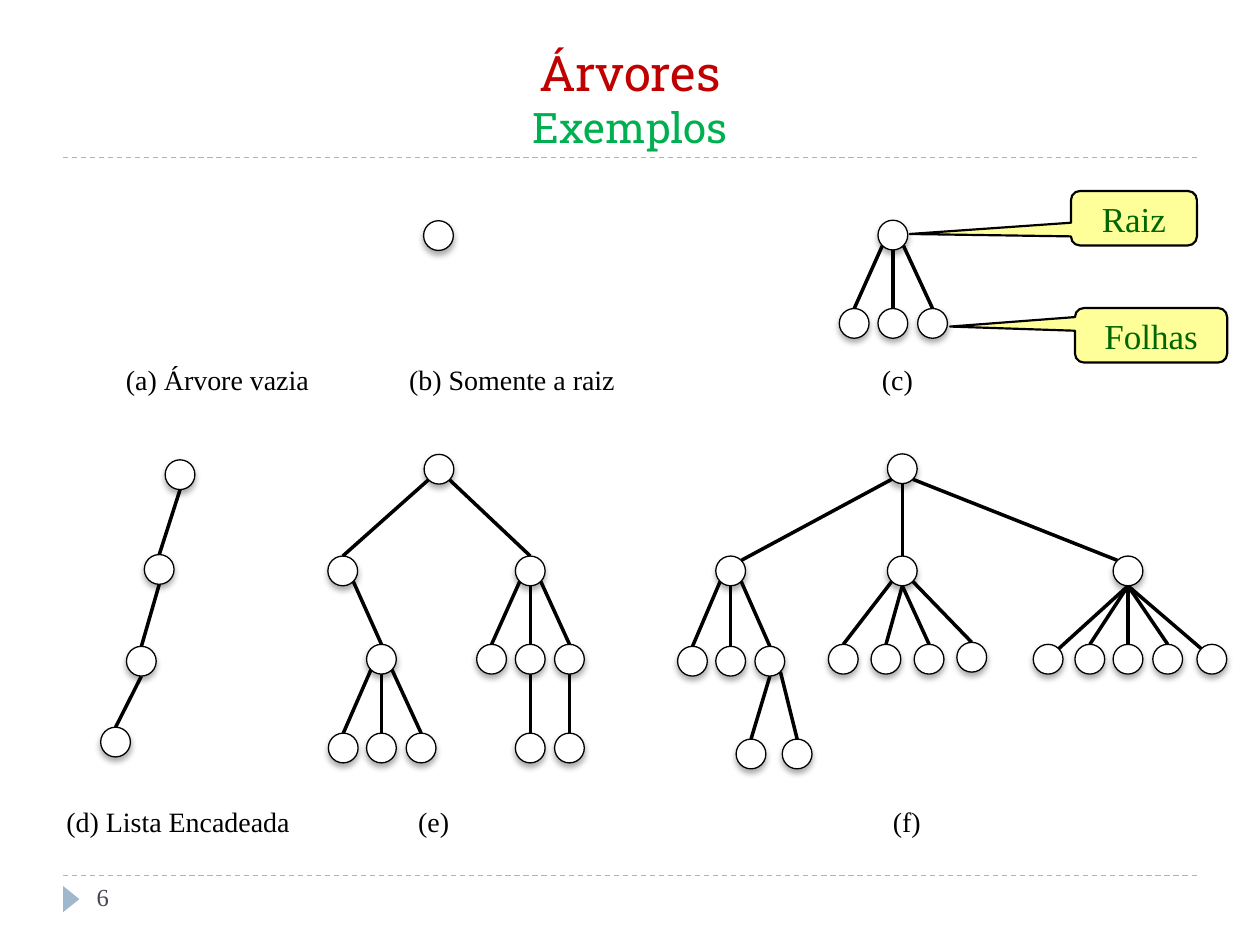
from dataclasses import dataclass
from math import sqrt

from lxml.etree import SubElement
from pptx import Presentation
from pptx.dml.color import RGBColor
from pptx.enum.dml import MSO_LINE
from pptx.enum.shapes import MSO_CONNECTOR, MSO_SHAPE
from pptx.enum.text import MSO_ANCHOR, PP_ALIGN
from pptx.oxml.ns import qn
from pptx.util import Cm, Pt


@dataclass(frozen=True)
class Theme:
    """Colours, fonts and type sizes of the slide."""
    title: str = "C00000"
    subtitle: str = "00B050"
    ink: str = "000000"
    paper: str = "FFFFFF"
    accent: str = "9FB8CD"
    number: str = "464653"
    callout: str = "FFFF99"
    callout_text: str = "006600"
    heading_font: str = "Roboto Slab"
    body_font: str = "Times New Roman"
    title_size: int = 28
    subtitle_size: int = 24
    callout_size: int = 20
    label_size: int = 16
    number_size: int = 14


@dataclass(frozen=True)
class Node:
    """A tree node: its centre, the side its edge comes from and arrives at, and its children."""
    x: float
    y: float
    leaves_from: str = "S"
    arrives_at: str = "N"
    children: tuple = ()


THEME = Theme()
RADIUS = 0.3
DIAGONAL = RADIUS / sqrt(2)
SIDES = {
    "N": (0, -RADIUS),
    "S": (0, RADIUS),
    "NW": (-DIAGONAL, -DIAGONAL),
    "NE": (DIAGONAL, -DIAGONAL),
    "SW": (-DIAGONAL, DIAGONAL),
    "SE": (DIAGONAL, DIAGONAL),
}


def fan(xs, y, sides=("SW", "S", "SE")):
    """Return a row of leaves, one for each centre and parent side."""
    return tuple(Node(x, y, side) for x, side in zip(xs, sides))


def list_tree():
    """Return the tree that is a linked list."""
    node = Node(2.33, 14.96)
    for x, y in ((2.85, 13.33), (3.21, 11.48), (3.63, 9.57)):
        node = Node(x, y, children=(node,))
    return node


def three_level_tree():
    """Return the tree labelled (e)."""
    left = Node(7.69, 13.29, "SE", children=fan((6.92, 7.69, 8.49), 15.08))
    right = (
        Node(9.91, 13.29, "SW"),
        Node(10.69, 13.29, "S", children=(Node(10.69, 15.08),)),
        Node(11.48, 13.29, "SE", children=(Node(11.48, 15.08),)),
    )
    return Node(8.85, 9.46, children=(
        Node(6.91, 11.51, "SW", children=(left,)),
        Node(10.69, 11.51, "SE", children=right),
    ))


def wide_tree():
    """Return the tree labelled (f)."""
    left = fan((13.96, 14.73), 13.33) + (
        Node(15.52, 13.33, "SE", children=fan((15.14, 16.07), 15.2, ("S", "SE"))),)
    middle = fan((17, 17.86, 18.73), 13.29, ("SW", "S", "S")) + (Node(19.59, 13.25, "SE"),)
    right = (Node(21.13, 13.29, "S", "NE"),) + fan((21.97, 22.74, 23.54), 13.29, "SSS") + (
        Node(24.43, 13.29, "S", "NW"),)
    return Node(18.19, 9.45, children=(
        Node(14.73, 11.51, "SW", "NE", left),
        Node(18.19, 11.51, "S", "N", middle),
        Node(22.74, 11.51, "SE", "NW", right),
    ))


def colour(value):
    """Return the colour object for a hex value."""
    return RGBColor.from_string(value)


def add_span(para, text, size, ink, font=THEME.body_font):
    """Add one formatted run to a paragraph."""
    span = para.add_run()
    span.text = text
    span.font.size = Pt(size)
    span.font.name = font
    span.font.color.rgb = colour(ink)


def add_box(page, left, top, width, height):
    """Add a wrapping text box and return its text frame."""
    frame = page.shapes.add_textbox(Cm(left), Cm(top), Cm(width), Cm(height)).text_frame
    frame.word_wrap = True
    return frame


def add_title(page):
    """Add the two-line title."""
    frame = add_box(page, 1.27, 0.64, 22.86, 2.54)
    frame.vertical_anchor = MSO_ANCHOR.BOTTOM
    para = frame.paragraphs[0]
    para.alignment = PP_ALIGN.CENTER
    add_span(para, "Árvores", THEME.title_size, THEME.title, THEME.heading_font)
    para.add_line_break()
    add_span(para, "Exemplos", THEME.subtitle_size, THEME.subtitle, THEME.heading_font)


def add_label(page, text, left, top, width, size=THEME.label_size, ink=THEME.ink):
    """Add a single-line label."""
    add_span(add_box(page, left, top, width, 0.94).paragraphs[0], text, size, ink)


def add_line(page, start, end, width, ink):
    """Add a straight line without shadow and return it."""
    line = page.shapes.add_connector(
        MSO_CONNECTOR.STRAIGHT, *(Cm(value) for value in (*start, *end)))
    line.line.width = Pt(width)
    line.line.color.rgb = colour(ink)
    SubElement(line._element.spPr, qn("a:effectLst"))
    return line


def add_rule(page, top):
    """Add a dashed rule across the page."""
    add_line(page, (1.27, top), (24.13, top), 0.75, THEME.accent).line.dash_style = MSO_LINE.DASH


def add_filled(page, kind, left, top, width, height, fill):
    """Add a preset shape with a plain fill and return it."""
    shape = page.shapes.add_shape(kind, Cm(left), Cm(top), Cm(width), Cm(height))
    shape.shadow.inherit = False
    shape.fill.solid()
    shape.fill.fore_color.rgb = colour(fill)
    return shape


def add_outline(shape, width):
    """Give a shape a line in the ink colour."""
    shape.line.width = Pt(width)
    shape.line.color.rgb = colour(THEME.ink)


def add_marker(page):
    """Add the triangle beside the page number."""
    marker = add_filled(page, MSO_SHAPE.ISOSCELES_TRIANGLE, 1.17, 17.96, 0.53, 0.33, THEME.accent)
    marker.rotation = 90
    marker.line.fill.background()


def add_circle(page, node):
    """Add the circle of a node with its soft shadow."""
    circle = add_filled(page, MSO_SHAPE.OVAL, node.x - RADIUS, node.y - RADIUS,
                        2 * RADIUS, 2 * RADIUS, THEME.paper)
    add_outline(circle, 0.75)
    effects = circle._element.spPr.find(qn("a:effectLst"))
    shadow = SubElement(effects, qn("a:outerShdw"), blurRad=str(Pt(3.5)), dist=str(Pt(2.2)),
                        dir="5400000", algn="ctr", rotWithShape="0")
    shade = SubElement(shadow, qn("a:srgbClr"), val=THEME.ink)
    SubElement(shade, qn("a:alpha"), val="32000")


def side_point(node, side):
    """Return the point on a node's circle at the given side."""
    across, down = SIDES[side]
    return node.x + across, node.y + down


def add_tree(page, node):
    """Add a node, its edges and its subtrees."""
    for child in node.children:
        add_line(page, side_point(child, child.arrives_at),
                 side_point(node, child.leaves_from), 2, THEME.ink)
        add_tree(page, child)
    add_circle(page, node)


def add_callout(page, text, left, top, width, pointer):
    """Add a rounded callout with its pointer offset."""
    callout = add_filled(page, MSO_SHAPE.ROUNDED_RECTANGULAR_CALLOUT,
                         left, top, width, 1.1, THEME.callout)
    callout.adjustments[0], callout.adjustments[1] = pointer
    add_outline(callout, 1.25)
    callout.text_frame.vertical_anchor = MSO_ANCHOR.MIDDLE
    para = callout.text_frame.paragraphs[0]
    para.alignment = PP_ALIGN.CENTER
    add_span(para, text, THEME.callout_size, THEME.callout_text)


def main():
    """Build the slide and save it."""
    deck = Presentation()
    deck.slide_width, deck.slide_height = Cm(25.4), Cm(19.05)
    page = deck.slides.add_slide(deck.slide_layouts[6])
    for top in (17.65, 3.17):
        add_rule(page, top)
    add_marker(page)
    add_title(page)
    add_label(page, "6", 1.7, 17.65, 5.5, THEME.number_size, THEME.number)
    star = Node(18, 4.74, children=fan((17.22, 18, 18.8), 6.52))
    for tree in (Node(8.84, 4.75), star, list_tree(), three_level_tree(), wide_tree()):
        add_tree(page, tree)
    label_rows = {
        7.19: (("(a) Árvore vazia", 2.29, 4.27), ("(b) Somente a raiz", 8, 4.72),
               ("(c)", 17.53, 1.2)),
        16.1: (("(d) Lista Encadeada", 1.09, 5.1), ("(e)", 8.18, 1.2), ("(f)", 17.75, 1.2)),
    }
    for top, labels in label_rows.items():
        for text, left, width in labels:
            add_label(page, text, left, top, width)
    add_callout(page, "Raiz", 21.59, 3.85, 2.54, (-1.78, 0.29))
    add_callout(page, "Folhas", 21.67, 6.21, 3.07, (-1.32, -0.16))
    deck.save("out.pptx")


if __name__ == "__main__":
    main()
